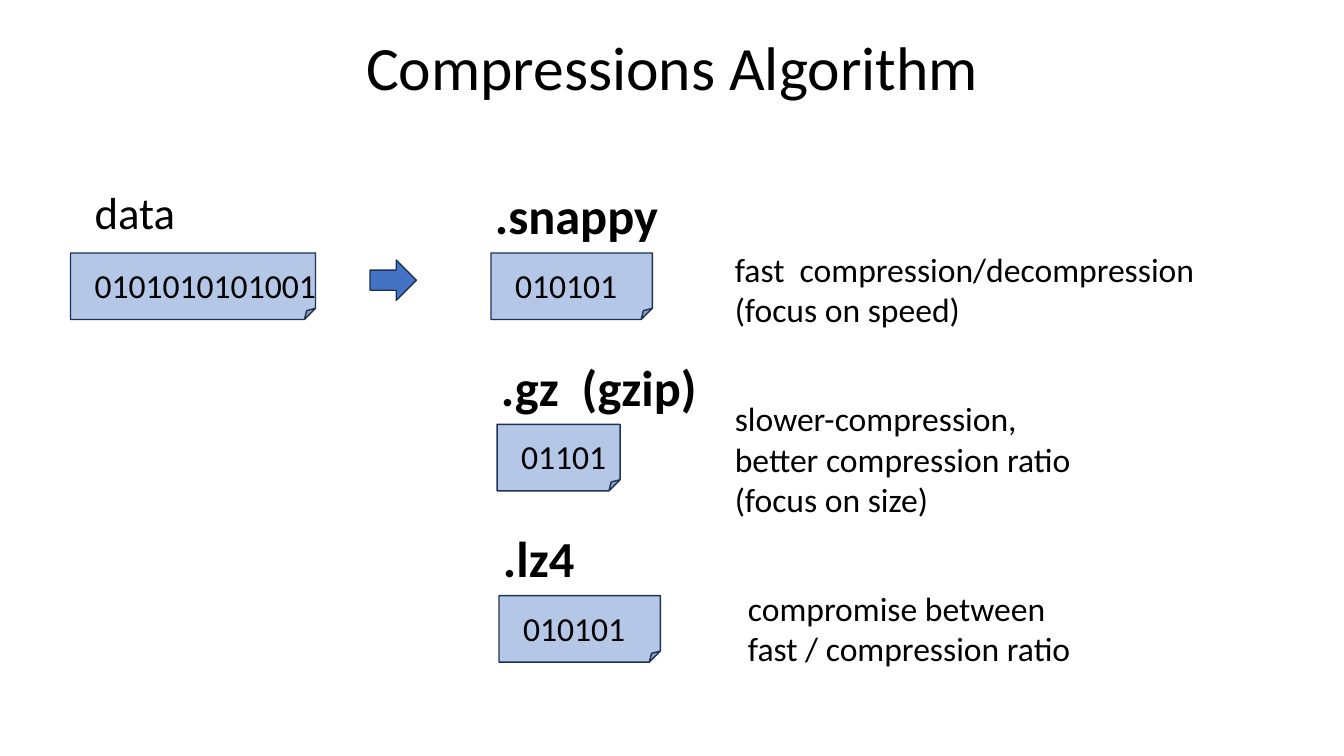
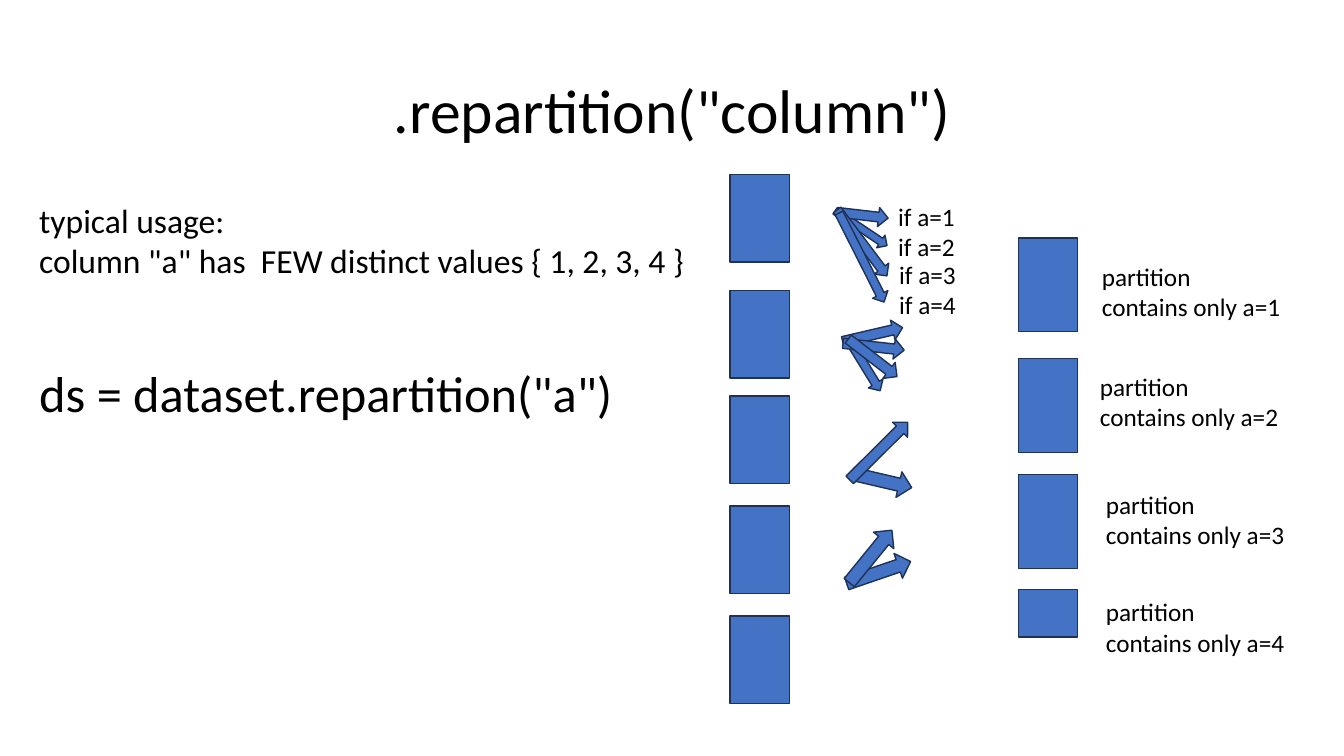
from dataclasses import dataclass

from pptx import Presentation
from pptx.dml.color import RGBColor
from pptx.enum.shapes import MSO_SHAPE
from pptx.enum.text import MSO_ANCHOR, MSO_AUTO_SIZE, PP_ALIGN
from pptx.util import Inches, Pt


@dataclass(frozen=True)
class Theme:
    font: str = "Calibri"
    text: RGBColor = RGBColor(0x00, 0x00, 0x00)
    block: RGBColor = RGBColor(0x44, 0x72, 0xC4)
    sheet: RGBColor = RGBColor(0xB4, 0xC7, 0xE7)
    outline: RGBColor = RGBColor(0x1E, 0x32, 0x56)
    title: int = 44
    heading: int = 36
    label: int = 32
    body: int = 24
    small: int = 18


THEME = Theme()
TITLE_ONLY = 5


# Shared parts
def style(para, size, bold=False):
    para.font.name = THEME.font
    para.font.size = Pt(size)
    para.font.bold = bold
    para.font.color.rgb = THEME.text


def add_page(deck, title, top, height):
    page = deck.slides.add_slide(deck.slide_layouts[TITLE_ONLY])
    box = page.shapes.title
    box.left, box.top = Inches(0.92), Inches(top)
    box.width, box.height = Inches(11.5), Inches(height)
    frame = box.text_frame
    frame.text = title
    frame.auto_size = MSO_AUTO_SIZE.NONE
    frame.vertical_anchor = MSO_ANCHOR.MIDDLE
    para = frame.paragraphs[0]
    para.alignment = PP_ALIGN.CENTER
    para.line_spacing = 0.9
    style(para, THEME.title)
    return page


def add_text(page, left, top, width, height, text, size, bold=False):
    box = page.shapes.add_textbox(Inches(left), Inches(top), Inches(width), Inches(height))
    frame = box.text_frame
    frame.word_wrap = False
    frame.auto_size = MSO_AUTO_SIZE.SHAPE_TO_FIT_TEXT
    frame.text = text
    for para in frame.paragraphs:
        style(para, size, bold)
    return frame


def add_block(page, kind, left, top, width, height, fill=THEME.block, rotation=0):
    block = page.shapes.add_shape(kind, Inches(left), Inches(top), Inches(width), Inches(height))
    block.shadow.inherit = False
    block.fill.solid()
    block.fill.fore_color.rgb = fill
    block.line.color.rgb = THEME.outline
    block.line.width = Pt(1)
    block.rotation = rotation


# Compression slide
def add_sheet(page, left, top, width, digits, digits_width):
    add_block(page, MSO_SHAPE.FOLDED_CORNER, left, top, width, 0.66, THEME.sheet)
    add_text(page, left + 0.14, top + 0.07, digits_width, 0.5, digits, THEME.body)


def add_raw_data(page, left, top):
    add_text(page, left + 0.14, top, 1.01, 0.64, "data", THEME.label)
    add_sheet(page, left, top + 0.73, 2.43, "0101010101001", 2.41)
    add_block(page, MSO_SHAPE.RIGHT_ARROW, left + 2.97, top + 0.8, 0.46, 0.4)


def add_format(page, left, top, name, name_width, sheet):
    add_text(page, left, top, name_width, 0.71, name, THEME.heading, bold=True)
    add_sheet(page, left + 0.06, top + 0.73, *sheet)


def compression_slide(deck):
    page = add_page(deck, "Compressions Algorithm", 0.15, 1.09)
    top, pitch = 1.78, 1.7
    add_raw_data(page, 0.7, top)

    # Compressed formats, one per row
    formats = [
        (4.81, ".snappy", 1.84, (1.6, "010101", 1.22)),
        (4.87, ".gz  (gzip)", 2.17, (1.22, "01101", 1.05)),
        (4.89, ".lz4", 0.92, (1.6, "010101", 1.22)),
    ]
    for row, (left, *parts) in enumerate(formats):
        add_format(page, left, top + row * pitch, *parts)

    # Remarks beside the formats
    remarks = [
        (7.19, 2.42, 4.8, 0.91, "fast  compression/decompression\n(focus on speed)"),
        (7.19, 3.9, 3.57, 1.31,
         "slower-compression,\nbetter compression ratio\n(focus on size)"),
        (7.32, 5.78, 3.43, 0.91, "compromise between\nfast / compression ratio"),
    ]
    for remark in remarks:
        add_text(page, *remark, THEME.body)


# Repartition slide
def add_usage(page, left, top):
    frame = add_text(
        page, left, top, 6.65, 2.73,
        'typical usage:\ncolumn "a" has  FEW distinct values { 1, 2, 3, 4 }\n'
        'ds = dataset.repartition("a")',
        THEME.body)
    code = frame.paragraphs[-1]
    code.space_before = Pt(58.5)
    style(code, THEME.heading)


def add_input_partitions(page, left, top):
    for offset in (0, 1.15, 2.2, 3.29, 4.38):
        add_block(page, MSO_SHAPE.RECTANGLE, left, top + offset, 0.59, 0.87)


def add_fan(page, left, top, arrows):
    for across, down, length, thickness, angle in arrows:
        add_block(page, MSO_SHAPE.RIGHT_ARROW, left + across, top + down,
                  length, thickness, rotation=angle)


def add_conditions(page, left, top):
    offsets = [(0, 0), (0, 0.3), (0.01, 0.57), (0.01, 0.87)]
    for value, (across, down) in enumerate(offsets, 1):
        add_text(page, left + across, top + down, 0.77, 0.4, f"if a={value}", THEME.small)


def add_output_partitions(page, left, top):
    # Block offset and height, then label offset
    rows = [
        (0, 0.93, 0.73, 0.18),
        (1.2, 0.93, 0.71, 1.27),
        (2.35, 0.93, 0.77, 2.44),
        (3.49, 0.47, 0.77, 3.51),
    ]
    for value, (down, height, label_across, label_down) in enumerate(rows, 1):
        add_block(page, MSO_SHAPE.RECTANGLE, left, top + down, 0.59, height)
        add_text(page, left + label_across, top + label_down, 1.99, 0.71,
                 f"partition\ncontains only a={value}", THEME.small)


def repartition_slide(deck):
    page = add_page(deck, '.repartition("column")', 0.4, 1.45)
    add_usage(page, 0.29, 1.93)
    add_input_partitions(page, 7.24, 1.73)

    # Arrows per input partition: across, down, length, thickness, angle
    fans = [
        (2.04, [(0.23, 0.15, 0.62, 0.15, 33.8), (0.3, 0, 0.51, 0.19, 6.6),
                (0.14, 0.28, 0.82, 0.18, 53), (0.05, 0.43, 0.99, 0.17, 63.2)]),
        (3.22, [(0.35, 0, 0.61, 0.2, 346.9), (0.28, 0.32, 0.59, 0.17, 58.5),
                (0.36, 0.12, 0.61, 0.2, 6.4), (0.35, 0.23, 0.61, 0.2, 37.6)]),
        (4.37, [(0.45, 0.27, 0.6, 0.26, 13.1), (0.31, 0, 0.81, 0.21, 315.1)]),
        (5.39, [(0.38, 0.16, 0.67, 0.26, 341.1), (0.3, 0, 0.67, 0.26, 309.1)]),
    ]
    for top, arrows in fans:
        add_fan(page, 8, top, arrows)

    add_conditions(page, 8.81, 1.95)
    add_output_partitions(page, 10.1, 2.36)


def main():
    deck = Presentation()
    deck.slide_width, deck.slide_height = Inches(13.33), Inches(7.5)
    compression_slide(deck)
    repartition_slide(deck)
    deck.save("out.pptx")


if __name__ == "__main__":
    main()
